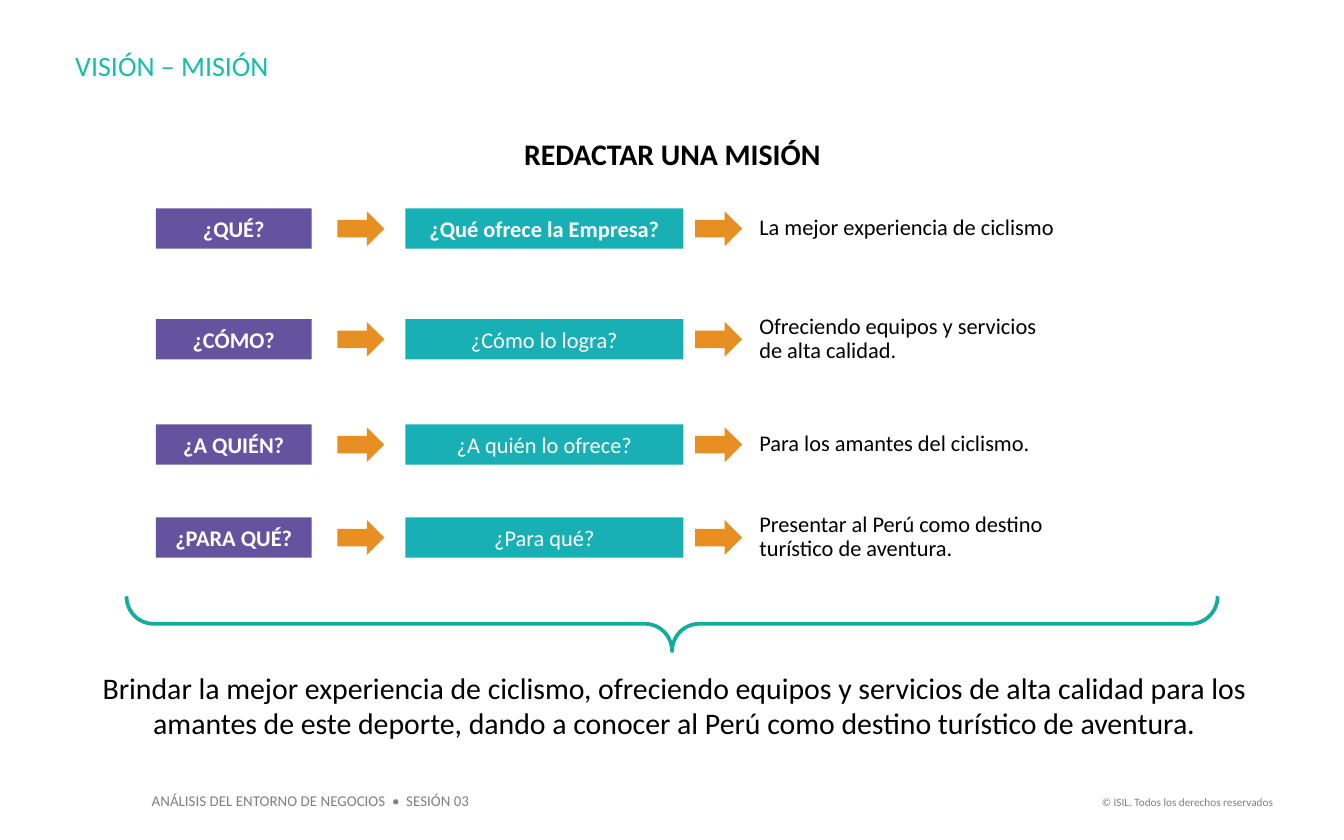
import pptx
import pptx.dml.color
import pptx.enum.shapes
import pptx.enum.text
import pptx.util

Pt = pptx.util.Pt
RGBColor = pptx.dml.color.RGBColor
Shape = pptx.enum.shapes.MSO_SHAPE
Align = pptx.enum.text.PP_ALIGN
Anchor = pptx.enum.text.MSO_ANCHOR

PURPLE = RGBColor(0x66, 0x53, 0x9F)
TEAL = RGBColor(0x18, 0xB0, 0xB4)
ORANGE = RGBColor(0xE8, 0x8F, 0x23)
BRACE_GREEN = RGBColor(0x13, 0xAD, 0xA0)
TITLE_GREEN = RGBColor(0x15, 0xBD, 0xAD)
GREY = RGBColor(0x7F, 0x7F, 0x7F)
BLACK = RGBColor(0, 0, 0)
WHITE = RGBColor(0xFF, 0xFF, 0xFF)

PADDING = (7.2, 3.6)
NO_PADDING = (0, 0)
BOX_HEIGHT = 21.6
ARROW_HEIGHT = 18.8
ANSWER_HEIGHT = 36

# Row centre, heading, question, question is bold, answer, answer width
ROWS = [
    (122.5, "¿QUÉ?", "¿Qué ofrece la Empresa?", True,
     "La mejor experiencia de ciclismo", 178),
    (181.8, "¿CÓMO?", "¿Cómo lo logra?", False,
     "Ofreciendo equipos y servicios de alta calidad.", 157),
    (238.2, "¿A QUIÉN?", "¿A quién lo ofrece?", False,
     "Para los amantes del ciclismo.", 165),
    (288, "¿PARA QUÉ?", "¿Para qué?", False,
     "Presentar al Perú como destino turístico de aventura.", 164),
]


class SlideBuilder:
    """Adds styled elements to one slide; lengths are in points."""

    font = "Calibri"

    def __init__(self, slide):
        self.slide = slide

    def set_text(self, shape, text, size, color, bold=False, align=Align.LEFT,
                 anchor=Anchor.TOP, padding=PADDING, spacing=None):
        frame = shape.text_frame
        frame.text = text
        frame.word_wrap = True
        frame.auto_size = pptx.enum.text.MSO_AUTO_SIZE.NONE
        frame.vertical_anchor = anchor
        frame.margin_left = frame.margin_right = Pt(padding[0])
        frame.margin_top = frame.margin_bottom = Pt(padding[1])
        paragraph = frame.paragraphs[0]
        paragraph.alignment = align
        paragraph.line_spacing = spacing
        font = paragraph.runs[0].font
        font.name, font.size, font.bold = self.font, Pt(size), bold
        font.color.rgb = color

    def title(self, left, top, width, height, text, size, color):
        title = self.slide.shapes.title
        title.left, title.top = Pt(left), Pt(top)
        title.width, title.height = Pt(width), Pt(height)
        self.set_text(title, text, size, color, padding=NO_PADDING)

    def text(self, left, top, width, height, text, size, color, **style):
        box = self.slide.shapes.add_textbox(
            Pt(left), Pt(top), Pt(width), Pt(height))
        self.set_text(box, text, size, color, **style)

    def shape(self, kind, left, top, width, height, fill=None):
        shape = self.slide.shapes.add_shape(
            kind, Pt(left), Pt(top), Pt(width), Pt(height))
        shape.shadow.inherit = False
        shape.line.fill.background()
        if fill is None:
            shape.fill.background()
        else:
            shape.fill.solid()
            shape.fill.fore_color.rgb = fill
        return shape

    def box(self, left, middle, width, text, fill, bold):
        box = self.shape(Shape.RECTANGLE, left, middle - BOX_HEIGHT / 2,
                         width, BOX_HEIGHT, fill)
        self.set_text(box, text, 12, WHITE, bold, Align.CENTER, Anchor.MIDDLE)

    def arrow(self, left, middle, width):
        self.shape(Shape.RIGHT_ARROW, left, middle - ARROW_HEIGHT / 2,
                   width, ARROW_HEIGHT, ORANGE)

    def brace(self, center, middle, width, depth):
        """Brace lying on its side, with its tip pointing down."""
        brace = self.shape(Shape.RIGHT_BRACE, center - depth / 2,
                           middle - width / 2, depth, width)
        brace.rotation = 90
        brace.adjustments[0] = 0.49
        brace.line.color.rgb = BRACE_GREEN
        brace.line.width = Pt(2)


def main():
    deck = pptx.Presentation()
    deck.slide_width, deck.slide_height = Pt(720), Pt(450)
    builder = SlideBuilder(deck.slides.add_slide(deck.slide_layouts[5]))

    builder.title(40.3, 25.9, 567, 18, "VISIÓN – MISIÓN", 15, TITLE_GREEN)
    builder.text(264.2, 72.9, 192, 19.4, "REDACTAR UNA MISIÓN", 16, BLACK,
                 bold=True, align=Align.CENTER, padding=NO_PADDING)

    for middle, heading, question, bold, answer, answer_width in ROWS:
        builder.box(83.5, middle, 83.5, heading, PURPLE, True)
        builder.arrow(180.7, middle, 25.2)
        builder.box(217.2, middle, 149, question, TEAL, bold)
        builder.arrow(372.4, middle, 25.2)
        builder.text(406.8, middle - ANSWER_HEIGHT / 2, answer_width,
                     ANSWER_HEIGHT, answer, 12, BLACK, anchor=Anchor.MIDDLE,
                     padding=NO_PADDING, spacing=0.9)

    builder.brace(360, 334.2, 584.6, 29.5)
    builder.text(
        39.6, 355, 643.7, 46,
        "Brindar la mejor experiencia de ciclismo, ofreciendo equipos y "
        "servicios de alta calidad para los amantes de este deporte, dando a "
        "conocer al Perú como destino turístico de aventura.",
        16, BLACK, align=Align.CENTER)

    builder.text(74.2, 420.5, 188, 17.3,
                 "ANÁLISIS DEL ENTORNO DE NEGOCIOS  •  SESIÓN 03", 8, GREY)
    builder.text(579.6, 422.6, 109.4, 14.4,
                 "© ISIL. Todos los derechos reservados", 6, GREY,
                 align=Align.RIGHT)

    deck.save("out.pptx")


if __name__ == "__main__":
    main()
